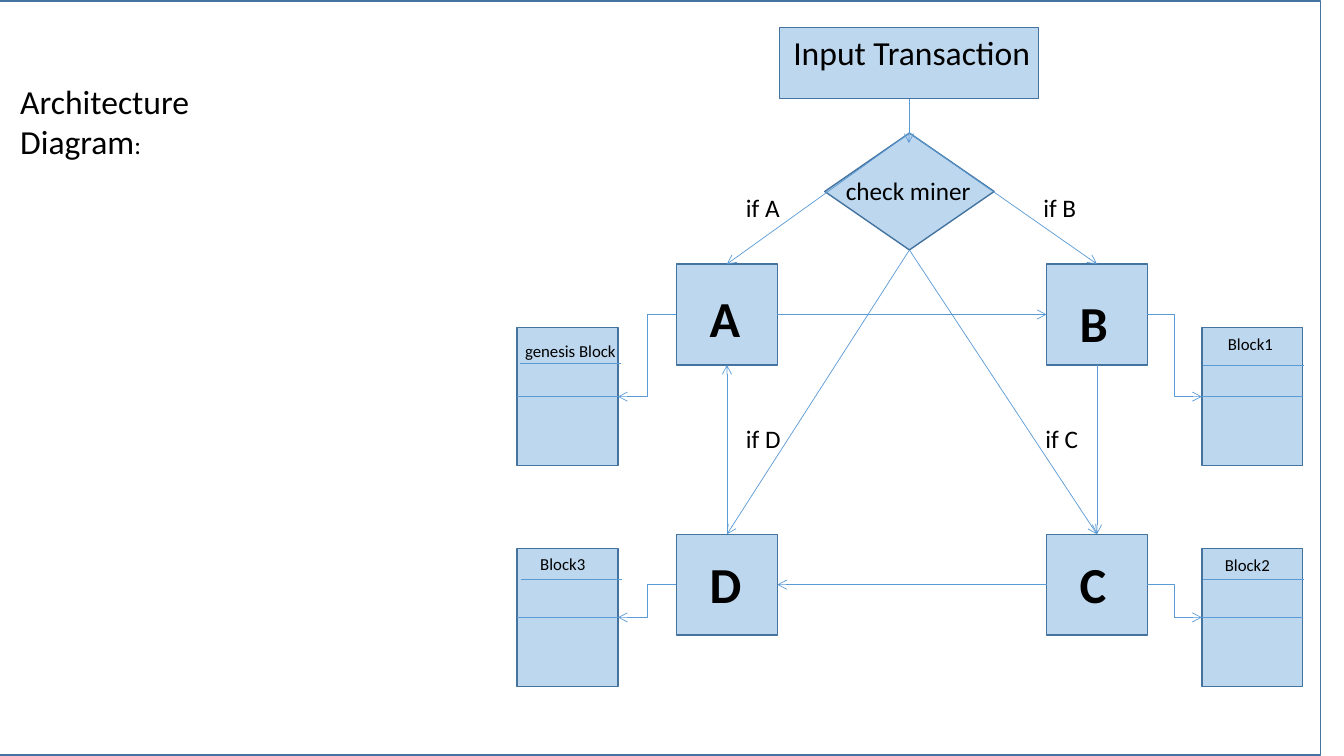
from dataclasses import dataclass

from lxml import etree
from pptx import Presentation
from pptx.dml.color import RGBColor
from pptx.enum.shapes import MSO_CONNECTOR as Connector, MSO_SHAPE as Shape
from pptx.enum.text import MSO_ANCHOR as Anchor, MSO_AUTO_SIZE as AutoSize, PP_ALIGN as Align
from pptx.oxml.ns import qn
from pptx.util import Inches, Pt

# The grid has square cells of one inch: 13.33 columns by 7.5 rows.
COLUMNS, ROWS = 13.33, 7.5
FONT = "Calibri"
FILL, OUTLINE, LINE, INK, PAPER = "BDD7EE", "43739E", "5B9BD5", "000000", "FFFFFF"
TOP, LEFT, BOTTOM, RIGHT = range(4)  # connection sites of a rectangle or diamond


@dataclass
class Box:
    """An area in grid columns and rows."""
    left: float
    top: float
    width: float
    height: float

    def area(self, column, row, width, height):
        """Return an area offset from this one's top left corner."""
        return Box(self.left + column, self.top + row, width, height)

    def lengths(self):
        """Return left, top, width and height as lengths."""
        return [Inches(value) for value in (self.left, self.top, self.width, self.height)]


def color(value):
    """Turn a hex string into a colour."""
    return RGBColor.from_string(value)


def add_block(slide, kind, box, fill=FILL):
    """Add an outlined preset shape."""
    shape = slide.shapes.add_shape(kind, *box.lengths())
    shape.shadow.inherit = False
    shape.fill.solid()
    shape.fill.fore_color.rgb = color(fill)
    shape.line.color.rgb = color(OUTLINE)
    shape.line.width = Pt(1)
    return shape


def style(paragraph, size, bold=False):
    """Set the font of a whole paragraph."""
    font = paragraph.font
    font.name, font.size, font.bold = FONT, Pt(size), bold
    font.color.rgb = color(INK)


def add_label(slide, text, box, size, bold=False):
    """Add a text box with one line of text."""
    frame = slide.shapes.add_textbox(*box.lengths()).text_frame
    frame.word_wrap = True
    frame.auto_size = AutoSize.SHAPE_TO_FIT_TEXT
    frame.text = text
    style(frame.paragraphs[0], size, bold)


def add_line(slide, start, end, kind=Connector.STRAIGHT, arrow=False):
    """Add a thin line between two grid points, with an optional arrowhead."""
    line = slide.shapes.add_connector(kind, *[Inches(value) for value in (*start, *end)])
    line.line.color.rgb = color(LINE)
    line.line.width = Pt(0.5)
    properties = line.element.spPr
    if arrow:
        etree.SubElement(properties.find(qn("a:ln")), qn("a:tailEnd"), type="arrow")
    etree.SubElement(properties, qn("a:effectLst"))
    return line


def connect(slide, source, source_site, target, target_site, kind=Connector.STRAIGHT):
    """Join two shapes with an arrow glued to their connection sites."""
    arrow = add_line(slide, (0, 0), (1, 1), kind, arrow=True)
    arrow.begin_connect(source, source_site)
    arrow.end_connect(target, target_site)


def add_heading(slide, box):
    """Place the slide title and the page frame behind it."""
    title = slide.shapes.title
    title.left, title.top, title.width, title.height = box.area(0.1, 0.75, 2.69, 0.91).lengths()
    frame = title.text_frame
    frame.vertical_anchor = Anchor.TOP
    frame.word_wrap = True
    frame.auto_size = AutoSize.NONE
    paragraph = frame.paragraphs[0]
    paragraph.alignment = Align.LEFT
    style(paragraph, 24)
    paragraph.add_run().text = "Architecture Diagram"
    colon = paragraph.add_run()
    colon.text = ":"
    colon.font.size = Pt(18)
    page_frame = add_block(slide, Shape.RECTANGLE, box.area(-0.49, 0.01, 13.59, 7.48), PAPER)
    title.element.addprevious(page_frame.element)


def add_node(slide, box, letter, label_row):
    """Add a square miner node with its letter."""
    node = add_block(slide, Shape.RECTANGLE, box)
    add_label(slide, letter, box.area(0.23, label_row, 0.55, 0.71), 36, bold=True)
    return node


def add_ledger(slide, box, name, label, header, shift):
    """Add a ledger block divided by two lines, the first one shifted sideways."""
    block = add_block(slide, Shape.RECTANGLE, box)
    for offset, row in ((shift, header), (0, box.height / 2)):
        left, top = box.left + offset, box.top + row
        add_line(slide, (left, top), (left + 1, top))
    add_label(slide, name, box.area(*label), 12)
    return block


def add_decision(slide, box):
    """Add the input block and the miner check below it; return the check."""
    add_block(slide, Shape.RECTANGLE, box.area(0, 0, 2.57, 0.71))
    add_label(slide, "Input Transaction", box.area(0.04, 0, 2.96, 0.5), 24)
    check = add_block(slide, Shape.DIAMOND, box.area(0.45, 1.05, 1.68, 1.16))
    add_label(slide, "check miner", box.area(0.56, 1.42, 1.92, 0.4), 18)
    center = box.left + box.width / 2
    add_line(slide, (center, box.top + 0.71), (center, box.top + 1.15), arrow=True)
    return check


def add_network(slide, box, check):
    """Add the ring of nodes, their ledgers and the branches from the check."""
    near, far, upper, lower = 1.58, 5.25, 0, 2.68
    ledger_right = 6.79
    node_places = {"A": (near, upper, 0.18), "B": (far, upper, 0.23),
                   "C": (far, lower, 0.14), "D": (near, lower, 0.14)}
    nodes = {letter: add_node(slide, box.area(column, row, 1, 1), letter, label_row)
             for letter, (column, row, label_row) in node_places.items()}

    ledgers = (
        ("A", "genesis Block", 0, 0.63, (-0.02, 0.08, 1.46, 0.3), 0.35, 0.03),
        ("B", "Block1", ledger_right, 0.63, (0.16, 0.01, 0.74, 0.3), 0.37, 0.01),
        ("C", "Block2", ledger_right, 2.82, (0.13, 0.01, 0.74, 0.3), 0.31, 0.01),
        ("D", "Block3", 0, 2.82, (0.13, 0, 0.74, 0.3), 0.31, 0.04),
    )
    for letter, name, column, row, label, header, shift in ledgers:
        ledger = add_ledger(slide, box.area(column, row, 1, 1.37), name, label, header, shift)
        sites = (LEFT, RIGHT) if column == 0 else (RIGHT, LEFT)
        connect(slide, nodes[letter], sites[0], ledger, sites[1], Connector.ELBOW)

    ring = (("A", RIGHT, "B", LEFT), ("B", BOTTOM, "C", TOP),
            ("C", LEFT, "D", RIGHT), ("D", TOP, "A", BOTTOM))
    for source, source_site, target, target_site in ring:
        connect(slide, nodes[source], source_site, nodes[target], target_site)

    branches = (("A", TOP, 2.17, -0.76), ("B", TOP, 5.12, -0.76),
                ("D", BOTTOM, 2.17, 1.53), ("C", BOTTOM, 5.14, 1.53))
    for letter, check_site, column, row in branches:
        connect(slide, check, check_site, nodes[letter], TOP)
        add_label(slide, f"if {letter}", box.area(column, row, 0.74, 0.4), 18)


def main():
    """Build the architecture slide and save it."""
    presentation = Presentation()
    presentation.slide_width, presentation.slide_height = Inches(COLUMNS), Inches(ROWS)
    slide = presentation.slides.add_slide(presentation.slide_layouts[5])
    add_heading(slide, Box(0, 0, COLUMNS, ROWS))
    check = add_decision(slide, Box(7.73, 0.27, 2.57, 2.21))
    add_network(slide, Box(5.13, 2.62, 7.79, 4.19), check)
    presentation.save("out.pptx")


main()
